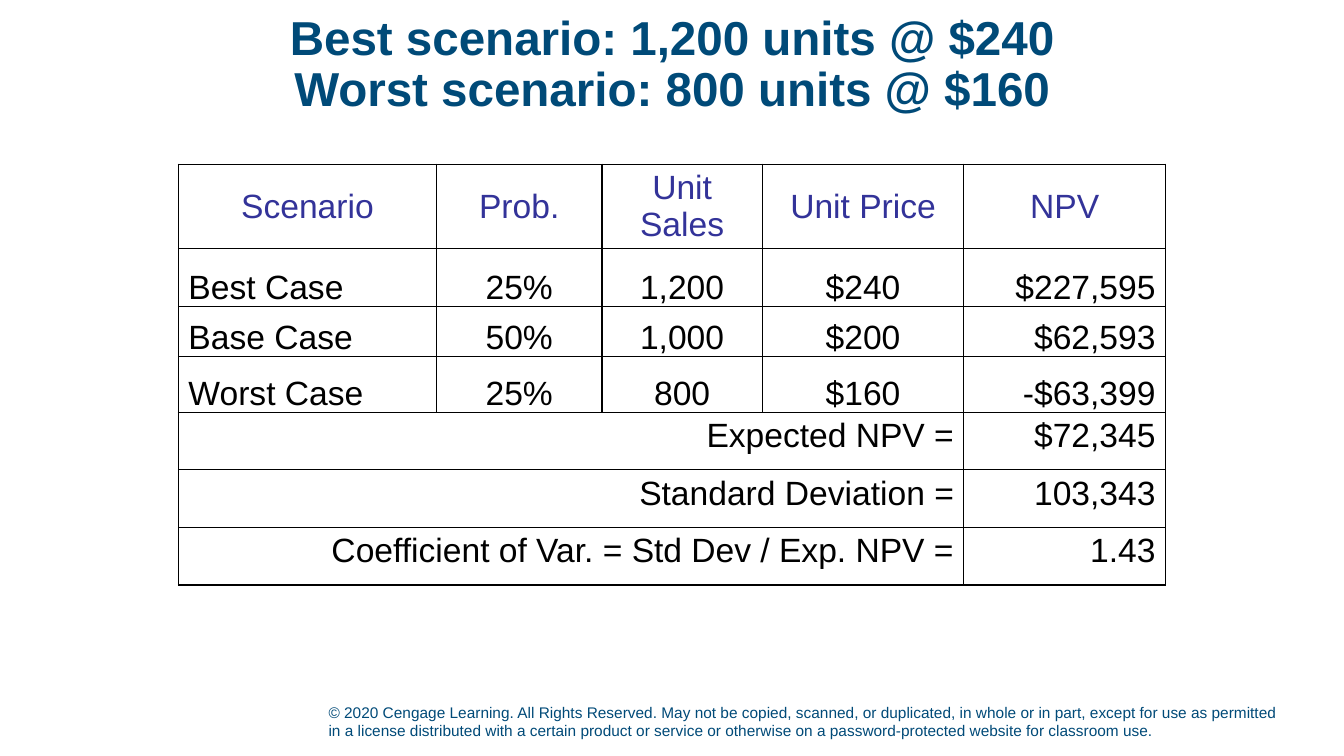
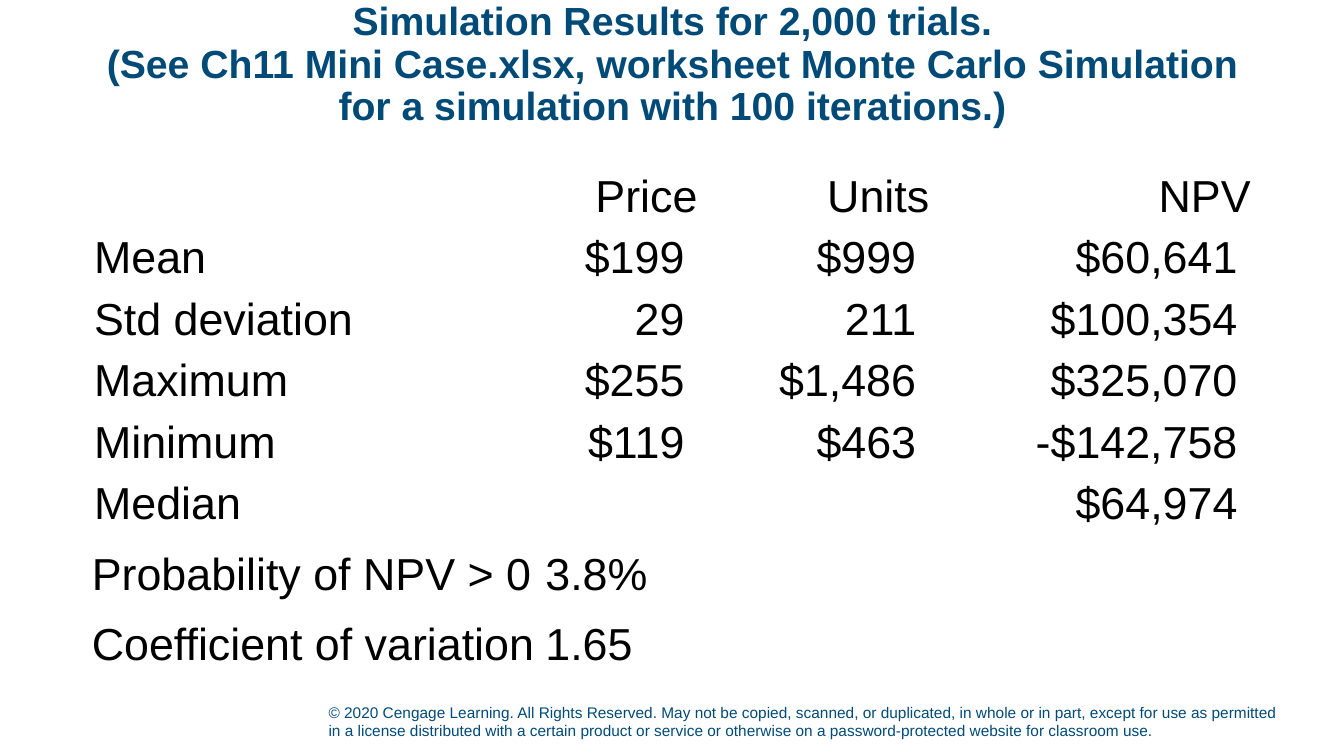
from dataclasses import dataclass, replace

from lxml.etree import SubElement
from pptx import Presentation
from pptx.dml.color import RGBColor
from pptx.enum.text import MSO_ANCHOR, MSO_AUTO_SIZE, PP_ALIGN
from pptx.oxml.ns import qn
from pptx.util import Cm, Pt

COLORS = {"navy": "004A78", "indigo": "333399", "black": "000000"}
FONT = "Arial"
TITLE_LAYOUT, BODY_LAYOUT = 5, 1
COPYRIGHT = (
    "© 2020 Cengage Learning. All Rights Reserved. May not be copied, scanned, "
    "or duplicated, in whole or in part, except for use as permitted in a license "
    "distributed with a certain product or service or otherwise on a "
    "password-protected website for classroom use."
)


@dataclass(frozen=True)
class CellStyle:
    """Look of a table cell; margins are left, top, right, bottom in cm."""
    size: int
    align: PP_ALIGN = PP_ALIGN.LEFT
    anchor: MSO_ANCHOR = MSO_ANCHOR.BOTTOM
    margins: tuple = (0.25, 0, 0.25, 0)
    color: str = "black"
    bordered: bool = False


class Deck:
    def __init__(self):
        self.presentation = Presentation()
        self.presentation.slide_width = Cm(33.87)
        self.presentation.slide_height = Cm(19.05)
        self.slide = None

    def new_slide(self, title, title_size, layout=TITLE_LAYOUT):
        layouts = self.presentation.slide_layouts
        self.slide = self.presentation.slides.add_slide(layouts[layout])
        self.title(title, title_size)
        self.footer()

    def place(self, shape, left, top, width, height):
        shape.left, shape.top = Cm(left), Cm(top)
        shape.width, shape.height = Cm(width), Cm(height)

    def format_runs(self, paragraph, size, color, bold=False):
        for run in paragraph.runs:
            run.font.name = FONT
            run.font.size = Pt(size)
            run.font.bold = bold
            run.font.color.rgb = RGBColor.from_string(COLORS[color])

    def title(self, text, size):
        heading = self.slide.shapes.title
        self.place(heading, 2.34, 0.38, 29.21, 2.54)
        frame = heading.text_frame
        frame.text = text
        frame.word_wrap = True
        frame.auto_size = MSO_AUTO_SIZE.NONE
        frame.vertical_anchor = MSO_ANCHOR.MIDDLE
        for paragraph in frame.paragraphs:
            paragraph.alignment = PP_ALIGN.CENTER
            paragraph.line_spacing = 0.9
            self.format_runs(paragraph, size, "navy", bold=True)

    def footer(self):
        notice = self.slide.shapes.add_textbox(Cm(8.03), Cm(17.5), Cm(24.46), Cm(1.27))
        frame = notice.text_frame
        frame.word_wrap = True
        frame.vertical_anchor = MSO_ANCHOR.BOTTOM
        frame.text = COPYRIGHT
        self.format_runs(frame.paragraphs[0], 11, "navy")

    def body(self, entries, left, top, width, height, tab):
        """Fill the body placeholder with labels and values at a right tab."""
        listing = self.slide.placeholders[1]
        self.place(listing, left, top, width, height)
        frame = listing.text_frame
        frame.auto_size = MSO_AUTO_SIZE.NONE
        frame.text = "\n".join(f"{label}\t{value}" for label, value in entries)
        for index, paragraph in enumerate(frame.paragraphs):
            properties = paragraph._p.get_or_add_pPr()
            properties.set("marL", "0")
            properties.set("indent", "0")
            SubElement(properties, qn("a:buNone"))
            tabs = SubElement(properties, qn("a:tabLst"))
            SubElement(tabs, qn("a:tab"), pos=str(Cm(tab)), algn="r")
            paragraph.space_before = Pt(6 if index else 0)
            paragraph.space_after = Pt(6)
            self.format_runs(paragraph, 32, "black")

    def table(self, left, top, widths, heights, rows, styles):
        """Add a table; styles holds one list of cell styles per row."""
        grid = self.slide.shapes.add_table(
            len(heights), len(widths), Cm(left), Cm(top),
            Cm(sum(widths)), Cm(sum(heights))).table
        grid.first_row = grid.horz_banding = False
        for column, width in zip(grid.columns, widths):
            column.width = Cm(width)
        for row, height, texts, looks in zip(grid.rows, heights, rows, styles):
            row.height = Cm(height)
            for cell, text, look in zip(row.cells, texts, looks):
                self.fill_cell(cell, text, look)

    def fill_cell(self, cell, text, look):
        cell.text_frame.text = text
        cell.vertical_anchor = look.anchor
        (cell.margin_left, cell.margin_top,
         cell.margin_right, cell.margin_bottom) = map(Cm, look.margins)
        paragraph = cell.text_frame.paragraphs[0]
        paragraph.alignment = look.align
        self.format_runs(paragraph, look.size, look.color)
        if look.bordered:
            self.border_cell(cell)
        cell.fill.background()

    def border_cell(self, cell):
        properties = cell._tc.get_or_add_tcPr()
        for side in ("lnL", "lnR", "lnT", "lnB"):
            line = SubElement(properties, qn(f"a:{side}"), w=str(Pt(1)))
            fill = SubElement(line, qn("a:solidFill"))
            SubElement(fill, qn("a:srgbClr"), val=COLORS["black"])


def scenario_slide(deck):
    deck.new_slide("Best scenario: 1,200 units @ $240\v"
                   "Worst scenario: 800 units @ $160", 34)
    left, top = 4.5, 4.14
    widths = [6.5, 4.17, 4.04, 5.08, 5.08]
    heights = [2.13, 1.45, 1.27, 1.4]
    scenarios = [
        ("Scenario", "Prob.", "Unit Sales", "Unit Price", "NPV"),
        ("Best Case", "25%", "1,200", "$240", "$227,595"),
        ("Base Case", "50%", "1,000", "$200", "$62,593"),
        ("Worst Case", "25%", "800", "$160", "-$63,399"),
    ]
    label = CellStyle(24, bordered=True)
    centred = replace(label, align=PP_ALIGN.CENTER)
    amount = replace(label, align=PP_ALIGN.RIGHT)
    header = replace(centred, anchor=MSO_ANCHOR.MIDDLE, color="indigo")
    case_styles = [label, centred, centred, centred, amount]
    deck.table(left, top, widths, heights, scenarios,
               [[header] * 5] + [case_styles] * 3)

    summary = [
        ("Expected NPV =", "$72,345"),
        ("Standard Deviation =", "103,343"),
        ("Coefficient of Var. = Std Dev / Exp. NPV =", "1.43"),
    ]
    result = replace(amount, anchor=MSO_ANCHOR.TOP, margins=(0.25, 0.13, 0.25, 0.13))
    deck.table(left, top + sum(heights), [sum(widths[:-1]), widths[-1]],
               [1.45] * 3, summary, [[result] * 2] * 3)


def simulation_slide(deck):
    deck.new_slide("Simulation Results for 2,000 trials.\v"
                   "(See Ch11 Mini Case.xlsx, worksheet Monte Carlo Simulation "
                   "for a simulation with 100 iterations.)", 28, BODY_LAYOUT)
    statistics = [
        ("", "Price", "Units", "NPV"),
        ("Mean", "$199", "$999", "$60,641"),
        ("Std deviation", "29", "211", "$100,354"),
        ("Maximum", "$255", "$1,486", "$325,070"),
        ("Minimum", "$119", "$463", "-$142,758"),
        ("Median", "", "", "$64,974"),
    ]
    label = CellStyle(32, margins=(0.03, 0.03, 0.03, 0))
    header = replace(label, align=PP_ALIGN.RIGHT)
    value = replace(header, margins=(0, 0, 0.36, 0))
    deck.table(2.34, 4.04, [9.73, 5.54, 5.84, 8.1], [1.55] * 6, statistics,
               [[label] + [header] * 3] + [[label] + [value] * 3] * 5)
    deck.body([("Probability of NPV > 0", "3.8%"),
               ("Coefficient of variation", "1.65")],
              2.06, 13.62, 29.59, 3.81, tab=28.88)


def main():
    deck = Deck()
    scenario_slide(deck)
    simulation_slide(deck)
    deck.presentation.save("out.pptx")


if __name__ == "__main__":
    main()
